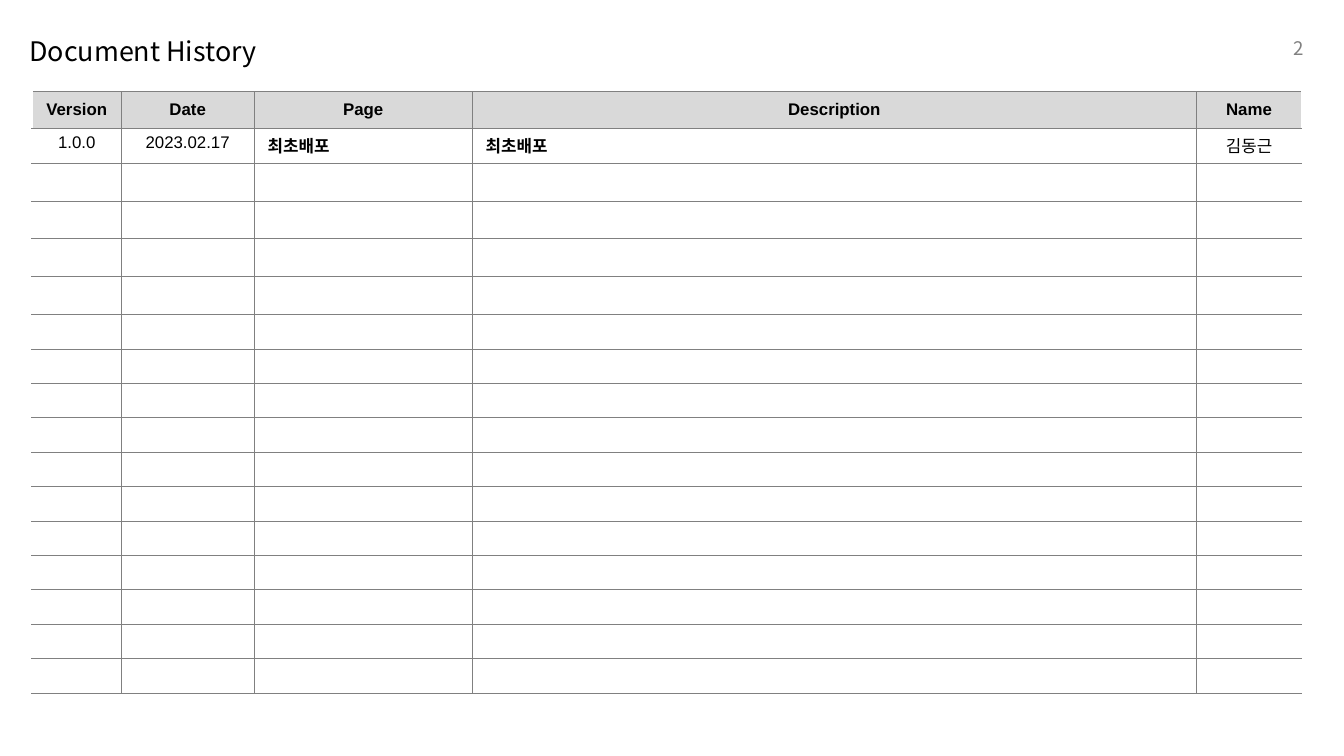
from lxml import etree
from pptx import Presentation
from pptx.dml.color import RGBColor
from pptx.enum.text import MSO_ANCHOR as Anchor, PP_ALIGN as Align
from pptx.oxml.ns import qn
from pptx.util import Pt

KOREAN_FONT = "Noto Sans CJK KR"


def write(frame, text, size=9, font="Arial", color="000000", bold=False,
          align=Align.LEFT):
    paragraph = frame.paragraphs[0]
    paragraph.alignment = align
    run = paragraph.add_run()
    run.text = text
    run.font.size = Pt(size)
    run.font.name = font
    run.font.bold = bold
    run.font.color.rgb = RGBColor.from_string(color)
    east_asian = etree.SubElement(run.font._element, qn("a:ea"))
    east_asian.set("typeface", KOREAN_FONT)


def add_borders(cell, sides, color="808080", width=0.25):
    properties = cell._tc.get_or_add_tcPr()
    for index, side in enumerate(sides):
        line = etree.Element(qn(f"a:ln{side}"), w=str(Pt(width)))
        fill = etree.SubElement(line, qn("a:solidFill"))
        etree.SubElement(fill, qn("a:srgbClr"), val=color)
        properties.insert(index, line)


prs = Presentation()
prs.slide_width, prs.slide_height = Pt(720), Pt(405)
slide = prs.slides.add_slide(prs.slide_layouts[6])

# Title and page number
for text, left, top, width, style in [
    ("Document History", 8.64, 16.56, 578, dict(size=14.4)),
    ("2", 662.4, 15.12, 43.2,
     dict(size=10, color="808080", align=Align.RIGHT)),
]:
    frame = slide.shapes.add_textbox(
        Pt(left), Pt(top), Pt(width), Pt(21.6)).text_frame
    frame.word_wrap = True
    frame.vertical_anchor = Anchor.MIDDLE
    write(frame, text, font=KOREAN_FONT, **style)

# History table: header, first release, empty rows
column_widths = [47.6, 71.3, 116.8, 388, 56.3]
row_heights = [19.8, 18.4] + [20.35] * 4 + [18.45] * 11
history_rows = [
    ["Version", "Date", "Page", "Description", "Name"],
    ["1.0.0", "2023.02.17", "최초배포", "최초배포", "김동근"],
]
left_columns = (2, 3)
last_column = len(column_widths) - 1

table_frame = slide.shapes.add_table(
    len(row_heights), len(column_widths), Pt(17.3), Pt(49),
    Pt(sum(column_widths)), Pt(sum(row_heights)))
history = table_frame.table
history.first_row = history.horz_banding = False
for column, width in zip(history.columns, column_widths):
    column.width = Pt(width)

for r, height in enumerate(row_heights):
    history.rows[r].height = Pt(height)
    is_header = r == 0
    for c in range(len(column_widths)):
        cell = history.cell(r, c)
        cell.margin_left = cell.margin_right = Pt(7.2)
        cell.margin_top = cell.margin_bottom = Pt(2.6)
        cell.fill.solid()
        cell.fill.fore_color.rgb = RGBColor.from_string(
            "D9D9D9" if is_header else "FFFFFF")
        # Outer left and right edges stay open
        sides = ["L"] * (c > 0) + ["R"] * (c < last_column) + ["T", "B"]
        add_borders(cell, sides)
        if is_header:
            cell.vertical_anchor = Anchor.MIDDLE
        if r < len(history_rows):
            starts_left = not is_header and c in left_columns
            write(cell.text_frame, history_rows[r][c],
                  bold=is_header or starts_left,
                  align=Align.LEFT if starts_left else Align.CENTER)
        else:
            # A small end mark keeps empty rows at their set height
            etree.SubElement(cell.text_frame.paragraphs[0]._p,
                             qn("a:endParaRPr"), sz="900")

prs.save("out.pptx")
